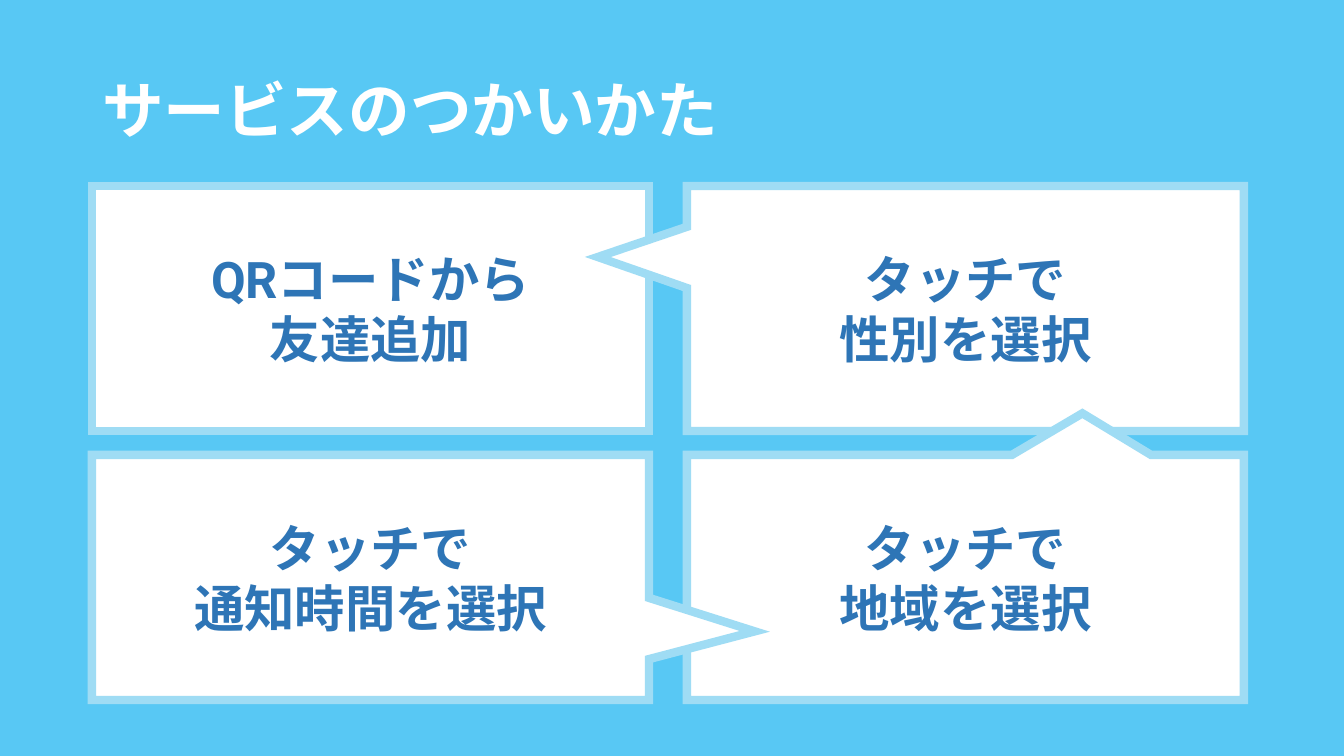
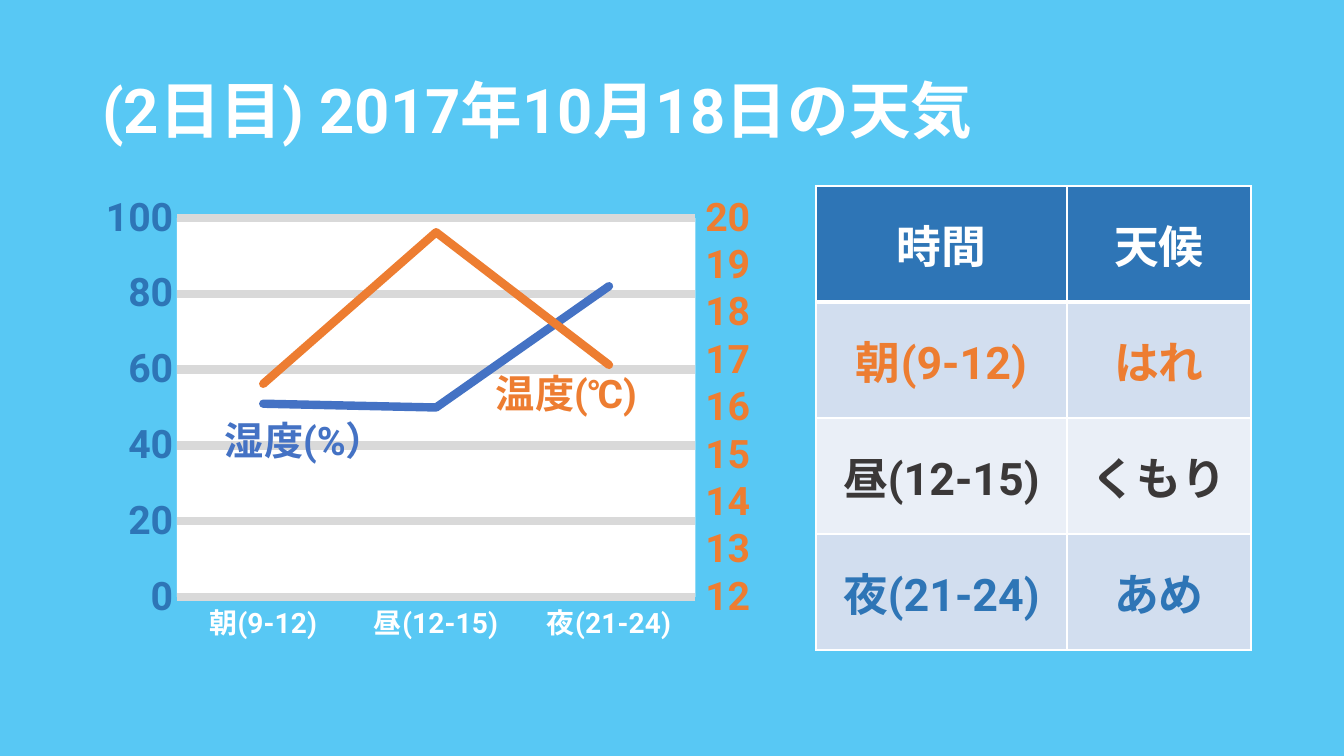
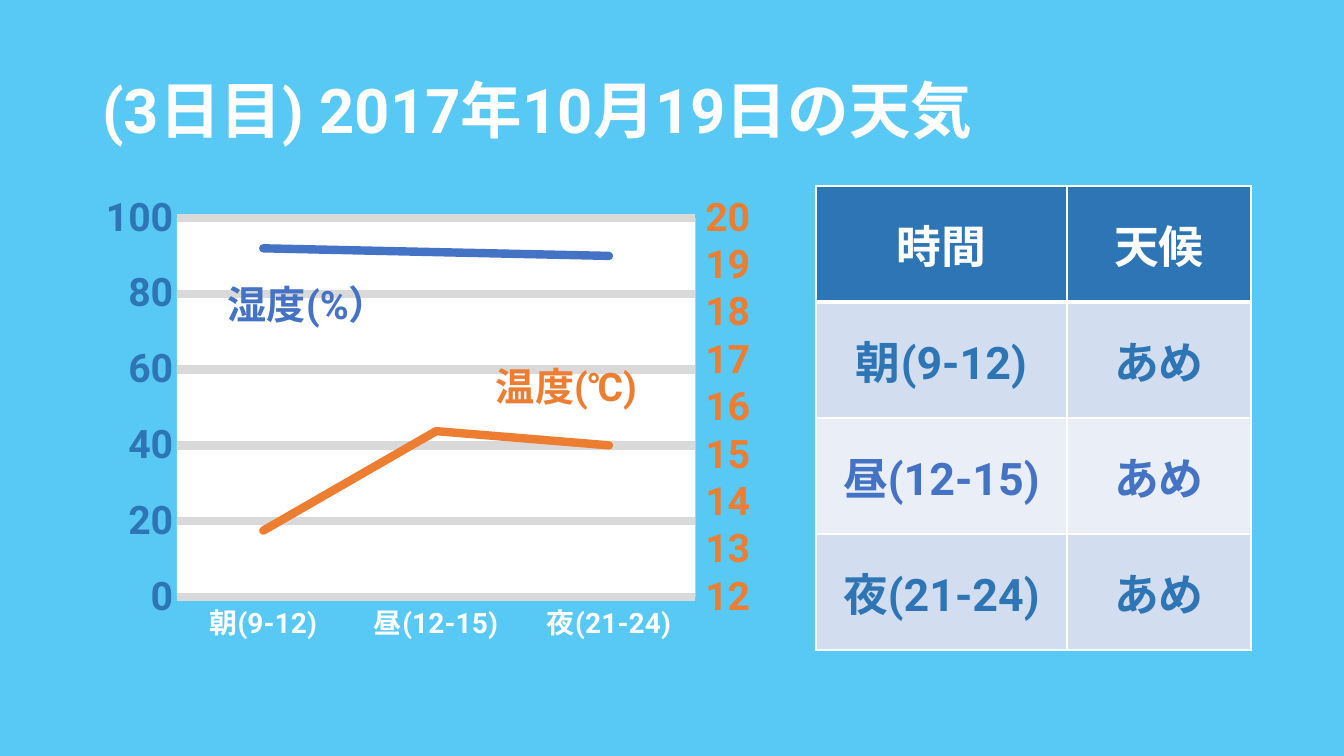
"""Build three slides on using a weather service and reading its daily forecast."""
from copy import deepcopy

from lxml.etree import SubElement
from pptx import Presentation
from pptx.chart.axis import CategoryAxis, ValueAxis
from pptx.chart.data import CategoryChartData
from pptx.dml.color import RGBColor
from pptx.enum.chart import XL_CHART_TYPE, XL_TICK_MARK
from pptx.enum.lang import MSO_LANGUAGE_ID
from pptx.enum.shapes import MSO_SHAPE
from pptx.enum.text import MSO_ANCHOR, MSO_AUTO_SIZE, PP_ALIGN
from pptx.oxml import parse_xml
from pptx.oxml.ns import nsdecls, qn
from pptx.util import Emu, Pt

SKY = RGBColor(0x58, 0xC8, 0xF4)
PALE_SKY = RGBColor(0x9F, 0xDC, 0xF4)
WHITE = RGBColor(0xFF, 0xFF, 0xFF)
NAVY = RGBColor(0x2E, 0x75, 0xB6)
BLUE = RGBColor(0x44, 0x72, 0xC4)
ORANGE = RGBColor(0xED, 0x7D, 0x31)
CHARCOAL = RGBColor(0x3B, 0x38, 0x38)
GREY = RGBColor(0xD9, 0xD9, 0xD9)
BAND_DARK = RGBColor(0xD2, 0xDE, 0xEF)
BAND_LIGHT = RGBColor(0xEA, 0xEF, 0xF7)
PX = 914400 / 100.8


def style(font, size, color):
    """Apply the deck's bold typeface."""
    font.size, font.bold, font.name = Pt(size), True, "Roboto"
    font.color.rgb = color
    font.language_id = MSO_LANGUAGE_ID.JAPANESE
    SubElement(font._rPr, qn("a:ea"), typeface="Noto Sans CJK JP")


def write(frame, lines, size, color, align=PP_ALIGN.LEFT):
    """Write each line as one paragraph of one run."""
    for index, line in enumerate(lines):
        para = frame.add_paragraph() if index else frame.paragraphs[0]
        para.alignment = align
        span = para.add_run()
        span.text = line
        style(span.font, size, color)


deck = Presentation()
deck.slide_width, deck.slide_height = Emu(round(1344 * PX)), Emu(round(756 * PX))
master_fill = deck.slide_master.background.fill
master_fill.solid()
master_fill.fore_color.rgb = SKY
layout = deck.slide_layouts[5]
heading = layout.placeholders[0]
heading.left, heading.top, heading.width, heading.height = [Emu(round(n * PX)) for n in (92, 41, 1159, 146)]

TITLES = ["サービスのつかいかた", "(2日目) 2017年10月18日の天気", "(3日目) 2017年10月19日の天気"]
pages = []
for text in TITLES:
    page = deck.slides.add_slide(layout)
    frame = page.shapes.title.text_frame
    frame.auto_size = MSO_AUTO_SIZE.NONE
    frame.vertical_anchor = MSO_ANCHOR.MIDDLE
    write(frame, [text], 44, WHITE)
    frame.paragraphs[0].line_spacing = 0.9
    pages.append(page)

STEPS = [
    (0, 0, ["QRコードから", "友達追加"], None),
    (1, 0, ["タッチで", "性別を選択"], (-0.66, -0.21)),
    (1, 1, ["タッチで", "地域を選択"], (0.21, -0.67)),
    (0, 1, ["タッチで", "通知時間を選択"], (0.69, 0.22)),
]
for column, row, lines, tail in STEPS:
    left, top, width, height = [Emu(round(n * PX)) for n in (92 + 595 * column, 186 + 269 * row, 557, 245)]
    preset = MSO_SHAPE.RECTANGULAR_CALLOUT if tail else MSO_SHAPE.RECTANGLE
    box = pages[0].shapes.add_shape(preset, left, top, width, height)
    if tail:
        box.adjustments[0], box.adjustments[1] = tail
    box.shadow.inherit = False
    box.fill.solid()
    box.fill.fore_color.rgb = WHITE
    box.line.color.rgb = PALE_SKY
    box.line.width = Pt(6)
    SubElement(box.element.find(".//" + qn("a:ln")), qn("a:miter"), lim="800000")
    box.text_frame.vertical_anchor = MSO_ANCHOR.MIDDLE
    write(box.text_frame, lines, 36, NAVY, PP_ALIGN.CENTER)

TIMES = ["朝(9-12)", "昼(12-15)", "夜(21-24)"]
HUMIDITY, TEMPERATURE = "湿度(%）", "温度(℃)"
DAYS = [
    ([51, 50, 82], [16.5, 19.7, 16.9], ["はれ", "くもり", "あめ"], [ORANGE, CHARCOAL, NAVY], (215, 411), (486, 364)),
    ([92, 91, 90], [13.4, 15.5, 15.2], ["あめ", "あめ", "あめ"], [NAVY, BLUE, NAVY], (218, 275), (486, 357)),
]
for page, (humidity, temperature, weather, colors, humidity_at, temperature_at) in zip(pages[1:], DAYS):
    data = CategoryChartData()
    data.categories = TIMES
    data.add_series(HUMIDITY, humidity)
    data.add_series(TEMPERATURE, temperature)
    left, top, width, height = [Emu(round(n * PX)) for n in (93, 186, 671, 465)]
    chart = page.shapes.add_chart(XL_CHART_TYPE.LINE, left, top, width, height, data).chart
    chart.has_legend = chart.has_title = False
    chart.font.size, chart.font.name = Pt(10), "Noto Sans CJK JP"
    chart.plots[0].vary_by_categories = False
    for series, color in zip(chart.plots[0].series, (BLUE, ORANGE)):
        series.smooth = False
        series.format.line.color.rgb = color
        series.format.line.width = Pt(6)
        outline = series._element.find(".//" + qn("a:ln"))
        outline.set("cap", "rnd")
        SubElement(outline, qn("a:round"))

    times = chart.category_axis
    times.major_tick_mark = XL_TICK_MARK.NONE
    times.format.line.color.rgb = GREY
    times.format.line.width = Pt(0.75)
    style(times.tick_labels.font, 20, WHITE)
    percent = chart.value_axis
    percent.minimum_scale, percent.maximum_scale, percent.major_unit = 0, 100, 20
    percent.major_tick_mark = XL_TICK_MARK.NONE
    percent.format.line.fill.background()
    percent.major_gridlines.format.line.color.rgb = GREY
    percent.major_gridlines.format.line.width = Pt(6)
    style(percent.tick_labels.font, 28, NAVY)

    plot_area = chart.element.find(".//" + qn("c:plotArea"))
    left_plot = plot_area.find(qn("c:lineChart"))
    right_plot = deepcopy(left_plot)
    left_plot.remove(left_plot.findall(qn("c:ser"))[1])
    right_plot.remove(right_plot.find(qn("c:ser")))
    left_plot.addnext(right_plot)
    right_times = deepcopy(plot_area.find(qn("c:catAx")))
    right_degrees = deepcopy(plot_area.find(qn("c:valAx")))
    for axis, own, other in ((right_degrees, "502", "501"), (right_times, "501", "502")):
        axis.find(qn("c:axId")).set("val", own)
        axis.find(qn("c:crossAx")).set("val", other)
        plot_area.findall(qn("c:valAx"))[-1].addnext(axis)
    for reference, number in zip(right_plot.findall(qn("c:axId")), ("501", "502")):
        reference.set("val", number)
    right_degrees.find(qn("c:axPos")).set("val", "r")
    right_degrees.find(qn("c:crosses")).set("val", "max")
    CategoryAxis(right_times).visible = False
    degrees = ValueAxis(right_degrees)
    degrees.has_major_gridlines = False
    degrees.minimum_scale, degrees.maximum_scale, degrees.major_unit = 12, 20, 1
    degrees.major_tick_mark = XL_TICK_MARK.OUTSIDE
    degrees.tick_labels.font.color.rgb = ORANGE

    for old_layout in plot_area.findall(qn("c:layout")):
        plot_area.remove(old_layout)
    plot_area.insert(0, parse_xml(
        f'<c:layout {nsdecls("c")}><c:manualLayout><c:layoutTarget val="inner"/>'
        '<c:xMode val="edge"/><c:yMode val="edge"/><c:x val="0.125"/><c:y val="0.069"/>'
        '<c:w val="0.773"/><c:h val="0.815"/></c:manualLayout></c:layout>'))
    plot_area.append(parse_xml(
        f'<c:spPr {nsdecls("c", "a")}><a:solidFill><a:srgbClr val="{WHITE}"/></a:solidFill></c:spPr>'))

    left, top, width, height = [Emu(round(n * PX)) for n in (816, 186, 435, 464)]
    table = page.shapes.add_table(4, 2, left, top, width, height).table
    for column, size in zip(table.columns, (251, 184)):
        column.width = Emu(round(size * PX))
    rows = [("時間", "天候")] + list(zip(TIMES, weather))
    fills = [NAVY, BAND_DARK, BAND_LIGHT, BAND_DARK]
    for row, (words, fill, color) in enumerate(zip(rows, fills, [WHITE] + colors)):
        for column, word in enumerate(words):
            cell = table.cell(row, column)
            cell.vertical_anchor = MSO_ANCHOR.MIDDLE
            for side in "LRTB":
                weight = 3 if (row, side) in ((0, "B"), (1, "T")) else 1
                border = SubElement(cell._tc.get_or_add_tcPr(), qn("a:ln" + side), w=str(Pt(weight)))
                SubElement(SubElement(border, qn("a:solidFill")), qn("a:srgbClr"), val=str(WHITE))
            cell.fill.solid()
            cell.fill.fore_color.rgb = fill
            write(cell.text_frame, [word], 32, color, PP_ALIGN.CENTER)

    labels = [(HUMIDITY, humidity_at, 187, BLUE), (TEMPERATURE, temperature_at, 203, ORANGE)]
    for text, place, size, color in labels:
        left, top, width, height = [Emu(round(n * PX)) for n in (*place, size, 57)]
        label = page.shapes.add_textbox(left, top, width, height)
        label.text_frame.word_wrap = True
        label.text_frame.auto_size = MSO_AUTO_SIZE.SHAPE_TO_FIT_TEXT
        write(label.text_frame, [text], 28, color)

deck.save("out.pptx")
